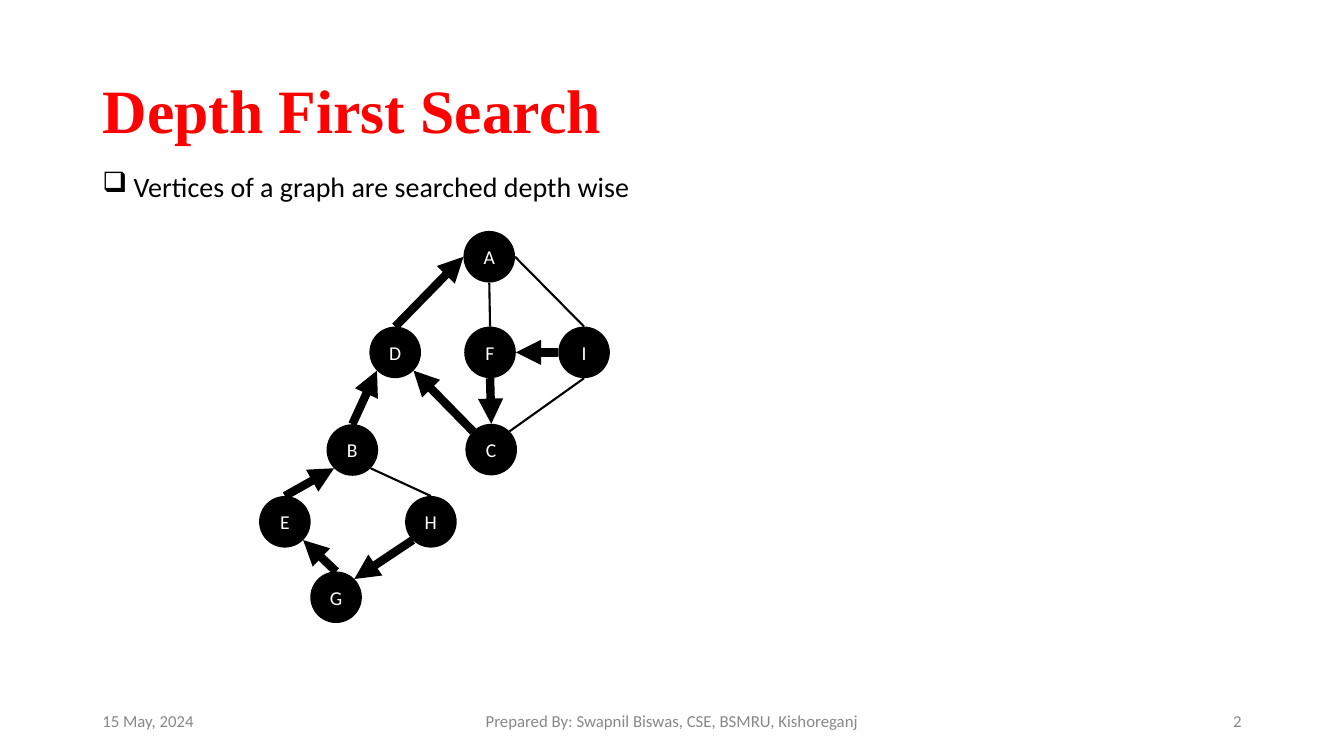
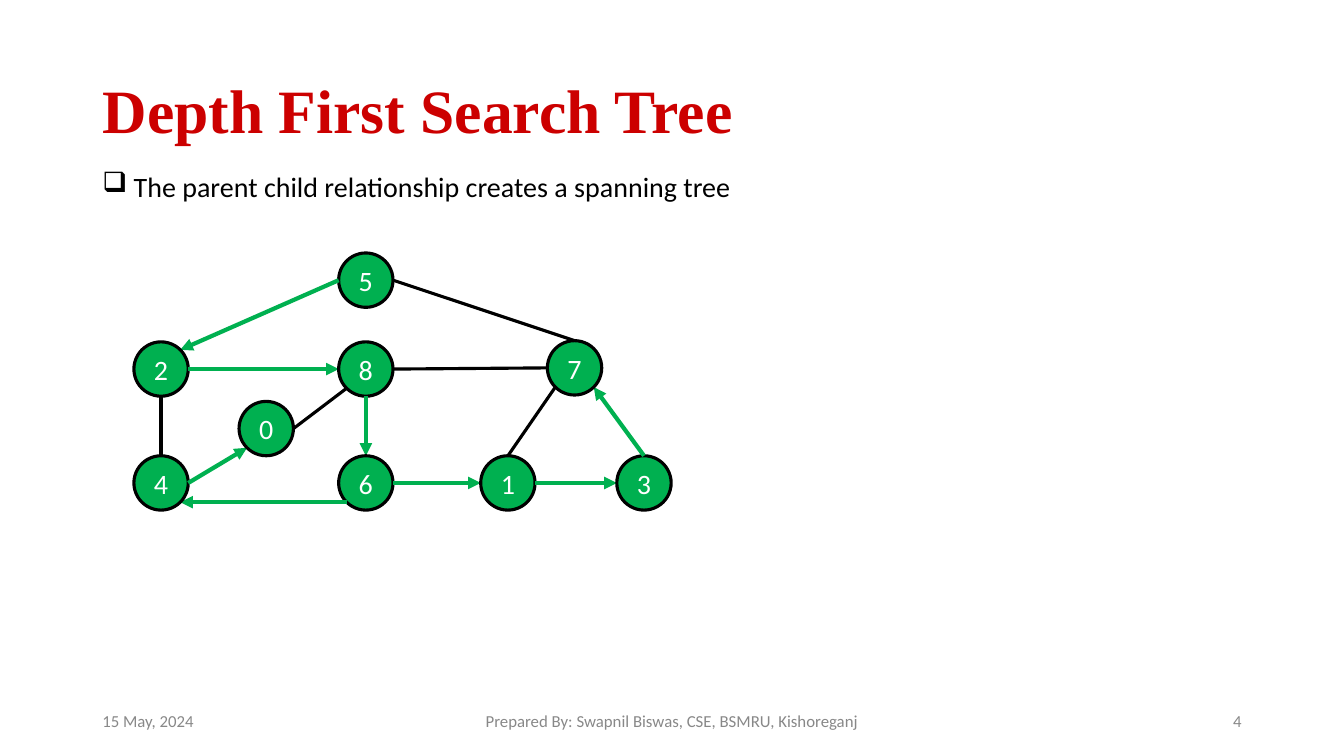
from math import cos, radians, sin

from lxml.etree import SubElement
from pptx import Presentation
from pptx.dml.color import RGBColor
from pptx.enum.shapes import MSO_CONNECTOR as Connector, MSO_SHAPE as Preset
from pptx.enum.text import MSO_ANCHOR as Anchor, PP_ALIGN as Align
from pptx.oxml.ns import qn
from pptx.util import Cm, Pt

BLACK = RGBColor(0x00, 0x00, 0x00)
WHITE = RGBColor(0xFF, 0xFF, 0xFF)
RED = RGBColor(0xFF, 0x00, 0x00)
DARK_RED = RGBColor(0xCC, 0x00, 0x00)
GREEN = RGBColor(0x00, 0xB0, 0x50)
GREY = RGBColor(0x88, 0x88, 0x88)

TITLE_FONT = "Times New Roman"
BODY_FONT = "Calibri"
TITLE_ONLY = 5
MARGIN = 2.33

COMPASS = {"E": 0, "SE": 45, "S": 90, "SW": 135,
           "W": 180, "NW": 225, "N": 270, "NE": 315}

SEARCH = {
    "diameter": 1.3, "size": 14, "fill": BLACK, "outline": 0,
    "edge": 1.5, "arrow": 6, "arrow_color": BLACK,
    "nodes": {"H": (10.86, 13.15), "G": (8.47, 15.05), "E": (7.18, 13.15),
              "B": (8.88, 11.34), "I": (14.72, 8.88), "F": (12.35, 8.88),
              "C": (12.38, 11.33), "D": (9.96, 8.88), "A": (12.33, 6.47)},
    "edges": ["B SE H N", "A S F N", "A E I N", "I S C NE"],
    "arrows": ["H SW G NE", "G N E SE", "E N B SW", "B N D SW",
               "I W F E", "F S C N", "C NW D SE", "D N A W"],
}

TREE = {
    "diameter": 1.37, "size": 20, "fill": GREEN, "outline": 2.25,
    "edge": 2.25, "arrow": 3, "arrow_color": GREEN,
    "nodes": {"5": (9.22, 7.06), "2": (4.06, 9.3), "8": (9.22, 9.3),
              "6": (9.22, 12.17), "4": (4.06, 12.17), "0": (6.71, 10.8),
              "1": (12.8, 12.17), "3": (16.23, 12.17), "7": (14.48, 9.27)},
    "edges": ["2 S 4 N", "5 E 7 N", "8 E 7 W", "8 SW 0 E", "7 SW 1 N"],
    "arrows": ["5 W 2 NE", "2 E 8 W", "8 S 6 N", "6 SW 4 SE", "4 E 0 SW",
               "6 E 1 W", "1 E 3 W", "3 N 7 SE"],
}


def style_text(paragraph, size, color, font=BODY_FONT, bold=False):
    """Format every run of a paragraph."""
    for run in paragraph.runs:
        run.font.name = font
        run.font.size = Pt(size)
        run.font.bold = bold
        run.font.color.rgb = color


def add_text(slide, text, box, size, color, align=Align.LEFT, anchor=Anchor.TOP):
    """Add a one-paragraph text box and return the paragraph."""
    frame = slide.shapes.add_textbox(*map(Cm, box)).text_frame
    frame.word_wrap = True
    frame.vertical_anchor = anchor
    frame.text = text
    paragraph = frame.paragraphs[0]
    paragraph.alignment = align
    style_text(paragraph, size, color)
    return paragraph


def add_title(slide, text, color):
    """Place and format the title placeholder."""
    title = slide.shapes.title
    title.left, title.top, title.width, title.height = map(Cm, (MARGIN, 1.01, 29.21, 3.68))
    title.text_frame.text = text
    title.text_frame.vertical_anchor = Anchor.MIDDLE
    paragraph = title.text_frame.paragraphs[0]
    paragraph.alignment = Align.LEFT
    paragraph.line_spacing = 0.9
    style_text(paragraph, 44, color, TITLE_FONT, True)


def add_bullet(slide, text):
    """Add the statement with a square bullet and a hanging indent."""
    statement = add_text(slide, text, (MARGIN, 4.14, 20, 1.12), 20, BLACK)
    properties = statement._p.get_or_add_pPr()
    properties.set("marL", str(Cm(0.79)))
    properties.set("indent", str(-Cm(0.79)))
    bullet_color = SubElement(properties, qn("a:buClr"))
    SubElement(bullet_color, qn("a:srgbClr")).set("val", str(BLACK))
    SubElement(properties, qn("a:buChar")).set("char", "❑")


def add_footer(slide, number):
    """Add the date, the author line and the slide number."""
    parts = (
        ("15 May, 2024", MARGIN, 7.62, Align.LEFT),
        ("Prepared By: Swapnil Biswas, CSE, BSMRU, Kishoreganj", 11.22, 11.43, Align.CENTER),
        (str(number), 23.92, 7.62, Align.RIGHT),
    )
    for text, left, width, align in parts:
        add_text(slide, text, (left, 17.65, width, 1.01), 12, GREY, align, Anchor.MIDDLE)


def rim_point(graph, label, side):
    """Return the point on a node's rim that faces a compass side."""
    x, y = graph["nodes"][label]
    angle = radians(COMPASS[side])
    radius = graph["diameter"] / 2
    return Cm(x + radius * cos(angle)), Cm(y + radius * sin(angle))


def add_link(slide, graph, link, color, width, arrow=False):
    """Join two nodes by a straight line, with or without an arrowhead."""
    source, source_side, target, target_side = link.split()
    line = slide.shapes.add_connector(
        Connector.STRAIGHT,
        *rim_point(graph, source, source_side),
        *rim_point(graph, target, target_side))
    line.line.color.rgb = color
    line.line.width = Pt(width)
    if arrow:
        SubElement(line.line._get_or_add_ln(), qn("a:tailEnd")).set("type", "triangle")
    SubElement(line._element.spPr, qn("a:effectLst"))


def add_node(slide, graph, label):
    """Draw one labelled vertex."""
    x, y = graph["nodes"][label]
    diameter = graph["diameter"]
    node = slide.shapes.add_shape(
        Preset.OVAL, Cm(x - diameter / 2), Cm(y - diameter / 2), Cm(diameter), Cm(diameter))
    node.shadow.inherit = False
    node.fill.solid()
    node.fill.fore_color.rgb = graph["fill"]
    if graph["outline"]:
        node.line.color.rgb = BLACK
        node.line.width = Pt(graph["outline"])
    else:
        node.line.fill.background()
    frame = node.text_frame
    frame.margin_left = frame.margin_right = 0
    frame.vertical_anchor = Anchor.MIDDLE
    frame.text = label
    frame.paragraphs[0].alignment = Align.CENTER
    style_text(frame.paragraphs[0], graph["size"], WHITE)


def add_graph(slide, graph):
    """Draw the plain edges, then each node with the arrows that leave it."""
    for edge in graph["edges"]:
        add_link(slide, graph, edge, BLACK, graph["edge"])
    for label in graph["nodes"]:
        add_node(slide, graph, label)
        for arrow in graph["arrows"]:
            if arrow.startswith(label):
                add_link(slide, graph, arrow, graph["arrow_color"], graph["arrow"], True)


def add_graph_slide(deck, title, color, statement, graph, number):
    """Build one slide with title, statement, graph and footer."""
    slide = deck.slides.add_slide(deck.slide_layouts[TITLE_ONLY])
    add_title(slide, title, color)
    add_bullet(slide, statement)
    add_graph(slide, graph)
    add_footer(slide, number)


def main():
    """Build and save the deck."""
    deck = Presentation()
    deck.slide_width, deck.slide_height = Cm(33.87), Cm(19.05)
    add_graph_slide(deck, "Depth First Search", RED,
                    "Vertices of a graph are searched depth wise", SEARCH, 2)
    add_graph_slide(deck, "Depth First Search Tree", DARK_RED,
                    "The parent child relationship creates a spanning tree", TREE, 4)
    deck.save("out.pptx")


if __name__ == "__main__":
    main()
